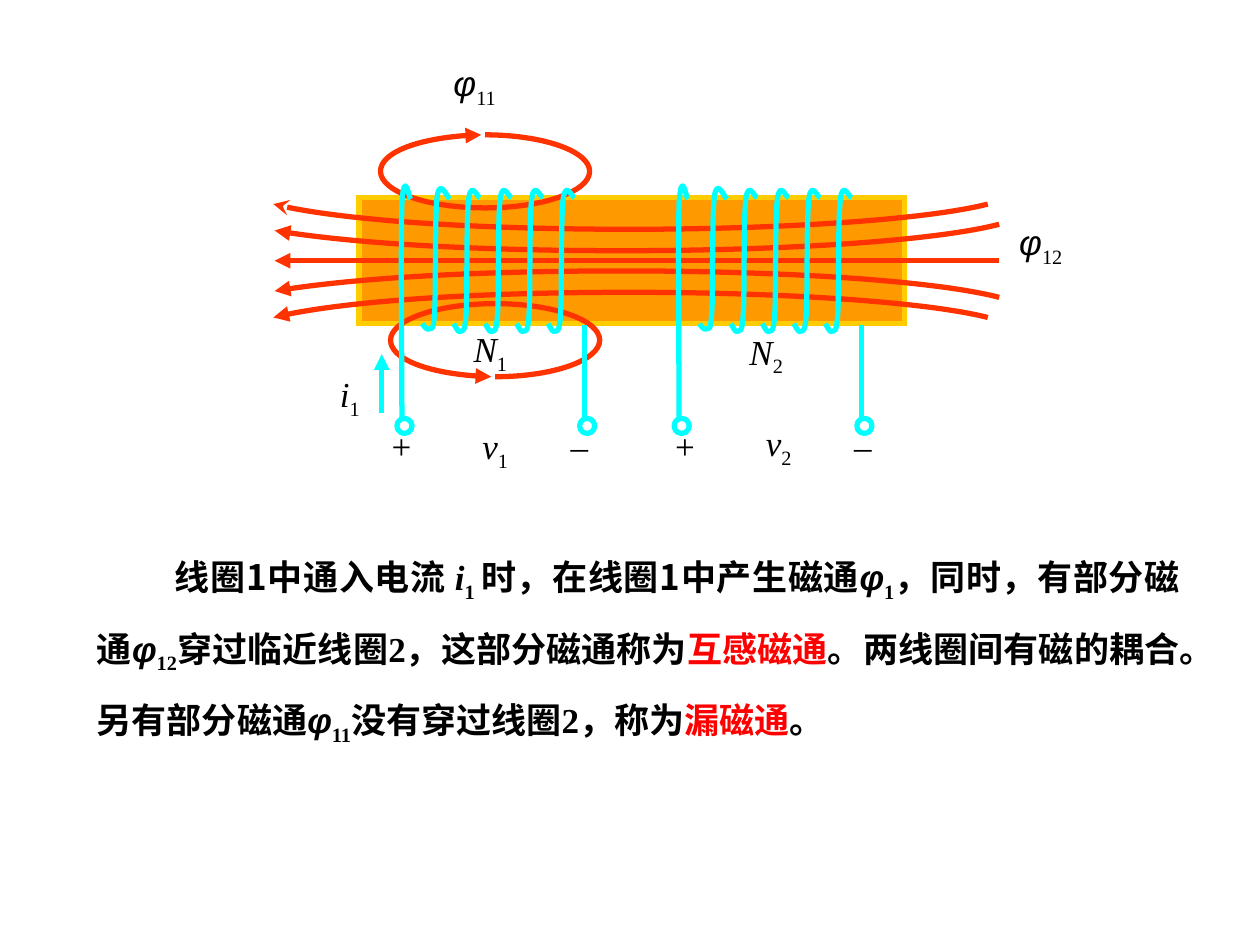
"""Build the slide on mutual flux between two coils on one core."""
from lxml.etree import SubElement
from pptx import Presentation
from pptx.dml.color import RGBColor
from pptx.enum.shapes import MSO_CONNECTOR, MSO_SHAPE
from pptx.enum.text import MSO_AUTO_SIZE, PP_ALIGN
from pptx.oxml.ns import qn
from pptx.util import Inches, Pt

RED, CYAN = "FF3300", "00FFFF"
SANS, SERIF = "Noto Sans CJK SC", "Times New Roman"
KINDS = {
    "text": (SANS, False, False, "000000"),
    "key": (SANS, False, False, "FF0000"),
    "num": (SERIF, False, False, "000000"),
    "var": (SERIF, True, False, "000000"),
    "sub": (SERIF, False, True, "000000"),
    "phi": ("Arial", True, False, "000000"),
}


def stroke(shape, color, tip=None):
    """Give a shape a plain line with an optional arrowhead at its end."""
    shape.line.color.rgb = RGBColor.from_string(color)
    shape.line.width = Pt(3)
    props = shape.element.spPr
    if tip:
        SubElement(props.find(qn("a:ln")), qn("a:tailEnd"), type=tip)
    SubElement(props, qn("a:effectLst"))


def write(spot, runs, bold=False):
    """Add a text box of formatted runs and return its paragraph."""
    box = slide.shapes.add_textbox(*[Inches(n) for n in spot])
    frame = box.text_frame
    frame.word_wrap = True
    frame.auto_size = MSO_AUTO_SIZE.SHAPE_TO_FIT_TEXT
    para = frame.paragraphs[0]
    space = SubElement(para._p.get_or_add_pPr(), qn("a:spcBef"))
    SubElement(space, qn("a:spcPct"), val="50000")
    for text, kind in runs:
        face, italic, low, color = KINDS[kind]
        run = para.add_run()
        run.text = text
        font = run.font
        font.size, font.bold, font.italic = Pt(20), bold, italic
        font.color.rgb = RGBColor.from_string(color)
        font.name = face
        props = run._r.get_or_add_rPr()
        SubElement(props, qn("a:ea"), typeface=SANS)
        if low:
            props.set("baseline", "-25000")
    return para


prs = Presentation()
prs.slide_width, prs.slide_height = Inches(10), Inches(7.5)
slide = prs.slides.add_slide(prs.slide_layouts[6])

para = write((0.67, 4.17, 8.79, 1.62), [
    ("线圈1中通入电流 ", "text"), ("i", "var"), ("1 ", "sub"),
    ("时，在线圈1中产生磁通", "text"), ("φ", "phi"), ("1", "sub"),
    ("，同时，有部分磁通", "text"), ("φ", "phi"), ("12", "sub"),
    ("穿过临近线圈", "text"), ("2", "num"),
    ("，这部分磁通称为", "text"), ("互感磁通", "key"),
    ("。两线圈间有磁的耦合。另有部分磁通", "text"), ("φ", "phi"), ("11", "sub"),
    ("没有穿过线圈", "text"), ("2，称为", "num"), ("漏磁通", "key"), ("。", "text"),
], bold=True)
para.alignment = PP_ALIGN.JUSTIFY
para.line_spacing = 1.5
para._p.get_or_add_pPr().set("indent", str(Inches(0.62)))

core = slide.shapes.add_shape(
    MSO_SHAPE.RECTANGLE, Inches(2.85), Inches(1.57), Inches(4.33), Inches(1))
core.fill.solid()
core.fill.fore_color.rgb = RGBColor.from_string("FF9900")
stroke(core, "FFCC00")
SubElement(core.element.spPr.find(qn("a:ln")), qn("a:miter"), lim="800000")

MID = 2.07
for x1, y1, x2, y2, color in (
    (7.93, MID, 2.18, MID, RED),
    (3.03, 3.28, 3.03, 2.81, CYAN),
):
    line = slide.shapes.add_connector(
        MSO_CONNECTOR.STRAIGHT, Inches(x1), Inches(y1), Inches(x2), Inches(y2))
    stroke(line, color, "triangle")

outer = [(7.84, 0.45), (7.37, 0.33), (6.25, 0.25), (5, 0.25),
         (3.76, 0.25), (2.64, 0.33), (2.17, 0.45)]
inner = [(7.93, 0.29), (7.43, 0.16), (6.25, 0.08), (4.94, 0.08),
         (3.81, 0.08), (2.77, 0.14), (2.18, 0.24)]
oval = [(0, 0.29), (0.46, 0.29), (0.83, 0.16), (0.83, 0), (0.83, -0.16),
        (0.46, -0.29), (0, -0.29), (-0.46, -0.29), (-0.83, -0.16), (-0.83, 0),
        (-0.83, 0.15), (-0.48, 0.28), (-0.03, 0.29)]
lead = [(3.19, 3.32), (3.19, 3.04), (3.18, 1.9), (3.19, 1.61),
        (3.21, 1.32), (3.25, 1.59), (3.26, 1.58)]
first = [(3.35, 2.57), (3.36, 2.58), (3.39, 2.63), (3.41, 2.61),
         (3.43, 2.6), (3.44, 2.64), (3.45, 2.46), (3.46, 2.29),
         (3.45, 1.71), (3.47, 1.56), (3.49, 1.41), (3.55, 1.57), (3.57, 1.58)]
turn = [(3.6, 2.57), (3.61, 2.58), (3.64, 2.65), (3.65, 2.63),
        (3.67, 2.62), (3.69, 2.66), (3.7, 2.48), (3.71, 2.31),
        (3.7, 1.73), (3.72, 1.58), (3.74, 1.43), (3.79, 1.57), (3.81, 1.57)]
drop = [(4.64, 2.58), (4.64, 3.33)]

curves = []
for side in (-1, 1):
    for path in (outer, inner):
        tip = "stealth" if side < 0 and path is outer else "triangle"
        curves.append(([(x, MID + side * y) for x, y in path], RED, tip))
for cx, cy, side in ((3.93, 2.7, 1), (3.85, 1.36, -1)):
    curves.append(([(cx + x, cy + side * y) for x, y in oval], RED, "triangle"))
for left in (2.2, 0):
    coil = [(lead, left), (first, left)]
    coil += [(turn, left + 0.25 * n) for n in range(4)]
    coil.append((drop, left))
    for path, shift in coil:
        curves.append(([(x + shift, y) for x, y in path], CYAN, None))

for knots, color, tip in curves:
    dots = [(Inches(x), Inches(y)) for x, y in knots]
    pen = slide.shapes.build_freeform(*dots[0])
    pen.add_line_segments(dots[1:], close=False)
    curve = pen.convert_to_shape()
    curve.fill.background()
    stroke(curve, color, tip)
    if len(knots) > 2:
        track = curve.element.spPr.find(".//" + qn("a:path"))
        legs = track.findall(qn("a:lnTo"))
        for n in range(0, len(legs), 3):
            bend = SubElement(track, qn("a:cubicBezTo"))
            for leg in legs[n:n + 3]:
                bend.append(leg[0])
                track.remove(leg)

for x in (5.35, 3.15):
    for shift in (0, 1.45):
        ring = slide.shapes.add_shape(
            MSO_SHAPE.OVAL, Inches(x + shift), Inches(3.32), Inches(0.12), Inches(0.12))
        ring.fill.background()
        stroke(ring, CYAN)

for x in (3.01, 5.26):
    write((x, 3.32, 0.42, 0.44), [("+", "num")])
    write((x + 1.42, 3.32, 0.42, 0.44), [("–", "num")])

for x, y, wide, sign, kind, sub in (
    (3.73, 3.32, 0.75, "v", "var", "1"),
    (5.98, 3.3, 0.75, "v", "var", "2"),
    (2.6, 2.91, 0.5, "i", "var", "1"),
    (3.66, 2.55, 0.75, "N", "var", "1"),
    (5.85, 2.57, 0.67, "N", "var", "2"),
    (7.99, 1.7, 0.71, "φ", "phi", "12"),
    (3.5, 0.44, 0.71, "φ", "phi", "11"),
):
    write((x, y, wide, 0.44), [(sign, kind), (sub, "sub")])

prs.save("out.pptx")
